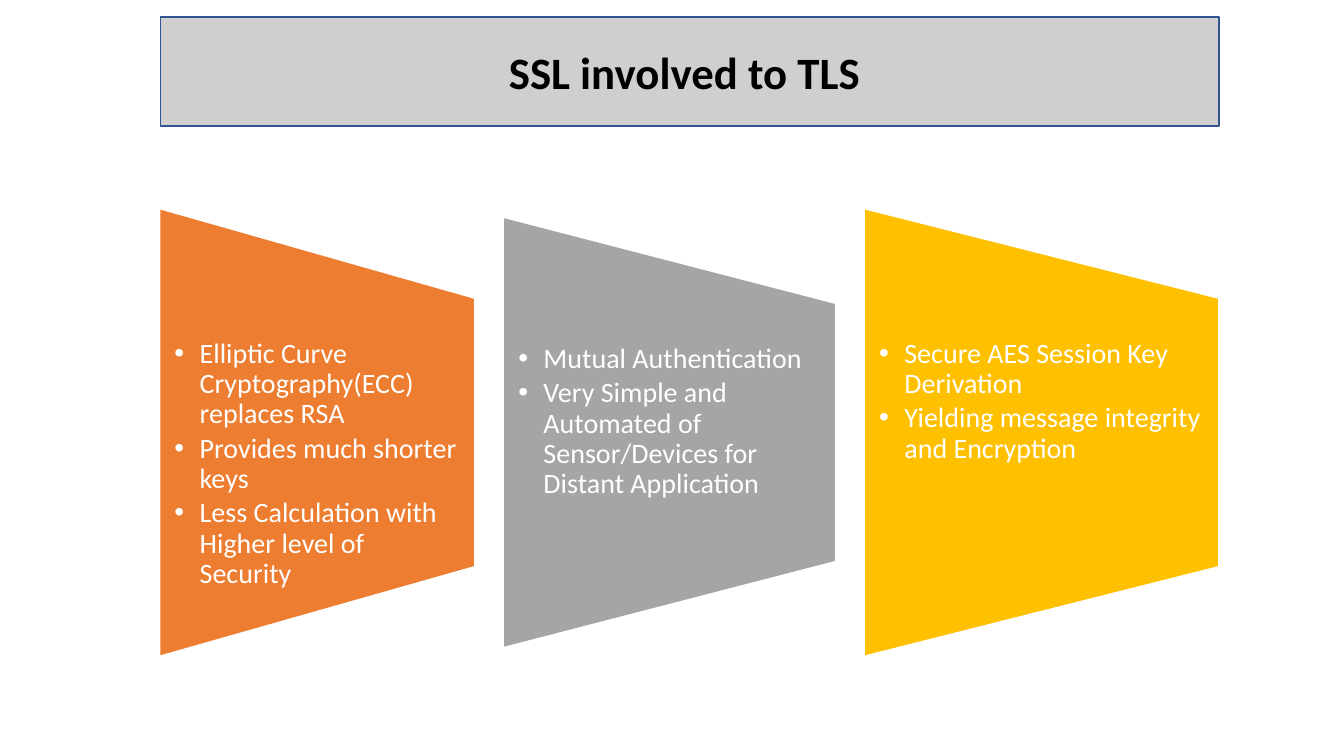
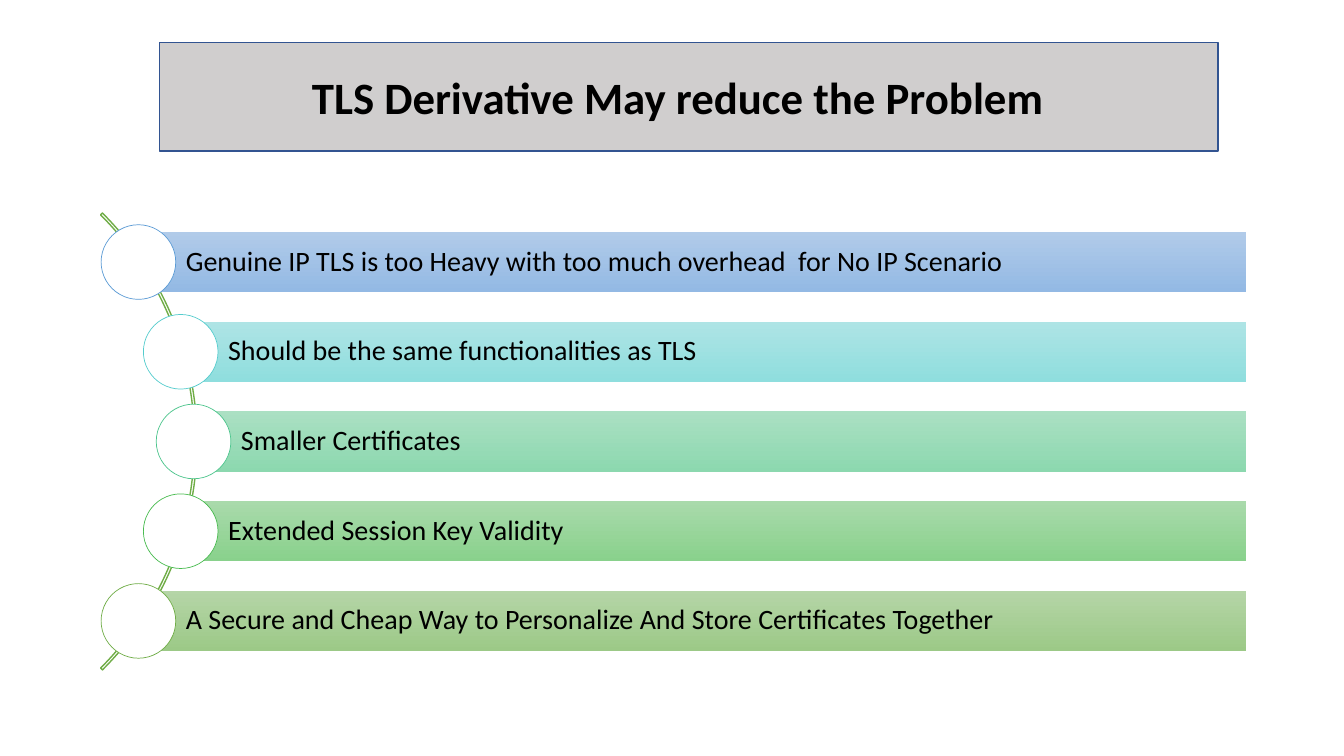
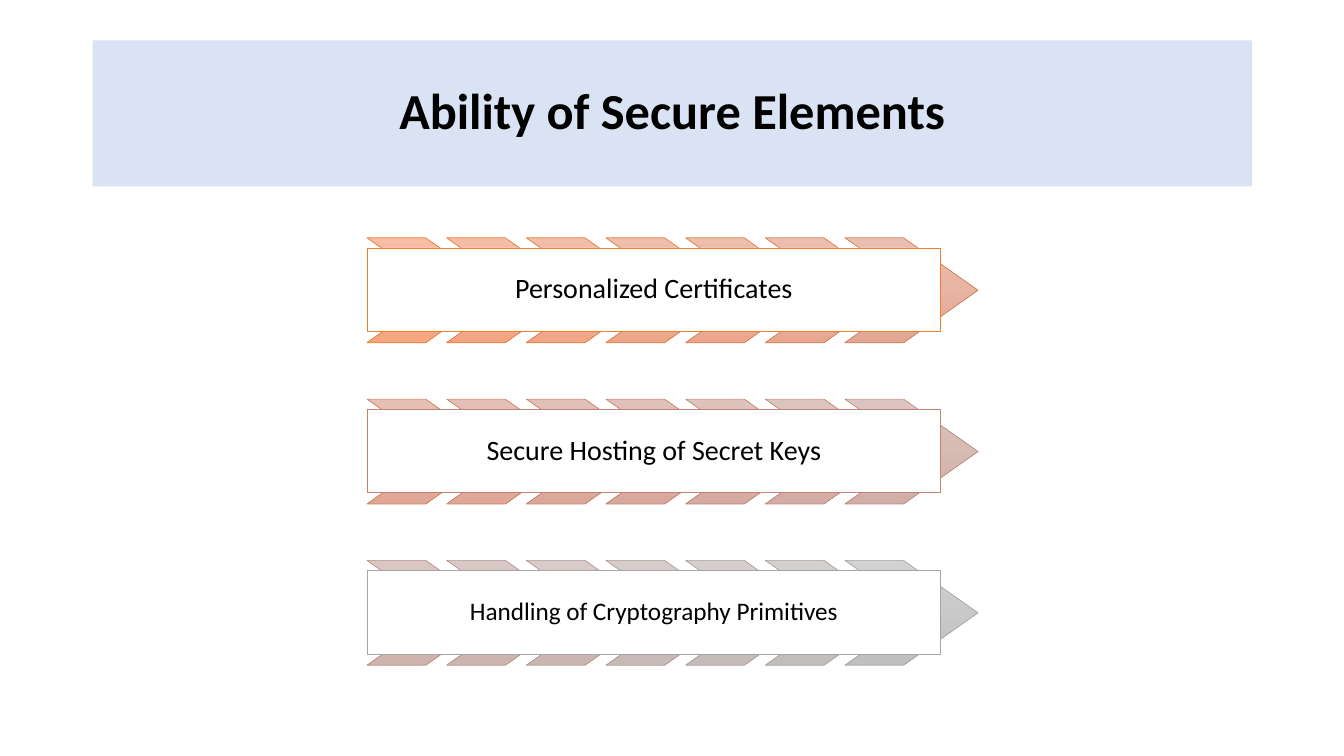
from math import sqrt
from pptx import Presentation, util as u
from pptx.dml.color import RGBColor
from pptx.enum import shapes, text
from pptx.oxml import parse_xml
from pptx.oxml.ns import nsdecls

FORM = shapes.MSO_SHAPE
ALIGN = text.PP_ALIGN
ANCHOR = text.MSO_ANCHOR


class Theme:
    font = "Calibri"
    black, white = "000000", "FFFFFF"
    band, edge, pale = "D0CECE", "325491", "DAE3F3"
    orange, gray, gold, green = "ED7D31", "A5A5A5", "FFC000", "70AD47"
    # top, bottom and outline of each row in the curved list
    rows = [("B1CBE9", "93B9E4", "5B9BD5"), ("AEE4E5", "8FDEDE", "54CCCD"),
            ("ABE0C3", "8CD8AF", "4DC58D"), ("A9DAAB", "89D18C", "48BB4F"),
            ("B5D5A7", "9CC987", green)]
    # first, middle and last colour of the chevron ramps
    tops = ("F7BDA5", "E0C0B9", "D2D2D2")
    ends = ("F8A582", "D7A89E", "C0C0C0")
    rims = (orange, "C48170", gray)
    big, head, body, small = 36, 32, 20, 18
    thin, line = 0.5, 1


def ramp(keys, t):
    """Blend three colours, t running from 0 to 1."""
    i = 0 if t < 0.5 else 1
    part = 2 * t - i
    pair = [RGBColor.from_string(k) for k in keys[i:i + 2]]
    return str(RGBColor(*(round(a + (b - a) * part) for a, b in zip(*pair))))


def write(shape, lines, size=Theme.body, color=Theme.black, bold=False,
          align=ALIGN.LEFT, anchor=ANCHOR.MIDDLE, pad=(0.1, 0.05, 0.1, 0.05),
          space=0.9, after=0, mark=None):
    frame = shape.text_frame
    frame.word_wrap = True
    frame.vertical_anchor = anchor
    (frame.margin_left, frame.margin_top,
     frame.margin_right, frame.margin_bottom) = [u.Inches(p) for p in pad]
    for i, words in enumerate(lines):
        para = frame.add_paragraph() if i else frame.paragraphs[0]
        para.alignment = align
        para.line_spacing = space
        para.space_after = u.Pt(after)
        run = para.add_run()
        run.text = words
        font = run.font
        font.name, font.size, font.bold = Theme.font, u.Pt(size), bold
        font.color.rgb = RGBColor.from_string(color)
        if mark:
            props = para._p.get_or_add_pPr()
            props.set("marL", str(u.Inches(0.25)))
            props.set("indent", str(u.Inches(-0.25)))
            props.append(parse_xml(f'<a:buFont {nsdecls("a")} typeface="Arial"/>'))
            props.append(parse_xml(f'<a:buChar {nsdecls("a")} char="{mark}"/>'))


class Deck:
    def __init__(self):
        self.show = Presentation()
        self.show.slide_width = u.Inches(13.33)
        self.show.slide_height = u.Inches(7.5)
        self.page = None

    def slide(self):
        self.page = self.show.slides.add_slide(self.show.slide_layouts[6])

    def shape(self, form, x, y, w, h, fill=None, line=None, width=Theme.thin):
        """Fill is None, one colour, or a (top, bottom) pair."""
        item = self.page.shapes.add_shape(form, *map(u.Inches, (x, y, w, h)))
        item.shadow.inherit = False
        if fill is None:
            item.fill.background()
        elif isinstance(fill, str):
            item.fill.solid()
            item.fill.fore_color.rgb = RGBColor.from_string(fill)
        else:
            item.fill.gradient()
            item.fill.gradient_angle = 270
            for stop, color in zip(item.fill.gradient_stops, fill):
                stop.color.rgb = RGBColor.from_string(color)
        if line:
            item.line.color.rgb = RGBColor.from_string(line)
            item.line.width = u.Pt(width)
        else:
            item.line.fill.background()
        return item

    def label(self, x, y, w, h, lines, **form):
        box = self.page.shapes.add_textbox(*map(u.Inches, (x, y, w, h)))
        write(box, lines, **form)

    def title(self, words, x, y, w=10.5, h=1.08, fill=Theme.band,
              line=Theme.edge, right=0.1, size=Theme.head, space=1):
        bar = self.shape(FORM.RECTANGLE, x, y, w, h, fill, line, Theme.line)
        write(bar, [words], size=size, bold=True, align=ALIGN.CENTER,
              pad=(0.1, 0.05, right, 0.05), space=space)

    def panel(self, x, mid, w, h, fill, lines):
        """Trapezoid turned on its side, with a bulleted list."""
        item = self.shape(FORM.FLOWCHART_MANUAL_OPERATION,
                          x + (w - h) / 2, mid - w / 2, h, w, fill)
        item.rotation = 270
        top = mid - 0.3 * h + 0.4
        self.label(x, top, w, 0.6 * h - 0.4, lines, color=Theme.white,
                   anchor=ANCHOR.TOP, pad=(0.14, 0, 0.14, 0), after=3, mark="•")

    def row(self, x, mid, right, words, colors):
        """Gradient bar that starts behind a circle centred on x."""
        top, end, rim = colors
        bar = self.shape(FORM.RECTANGLE, x, mid - 0.3, right - x, 0.6, (top, end))
        write(bar, [words], pad=(0.47, 0.06, 0.06, 0.06))
        self.shape(FORM.OVAL, x - 0.37, mid - 0.37, 0.74, 0.74, Theme.white, rim)

    def train(self, x, y, words, size, first, count, total):
        """Run of chevrons under a white label."""
        for i in range(count):
            t = (first + i) / (total - 1)
            item = self.shape(FORM.CHEVRON, x + 0.79 * i, y, 1.32, 1.04,
                              (ramp(Theme.tops, t), ramp(Theme.ends, t)),
                              ramp(Theme.rims, t))
            item.adjustments[0] = 0.71
        rim = ramp(Theme.rims, first / (total - count))
        box = self.shape(FORM.RECTANGLE, x, y + 0.1, 5.69, 0.83, Theme.white, rim)
        write(box, [words], size=size, align=ALIGN.CENTER, pad=(0.06,) * 4)


def panels(deck):
    deck.slide()
    deck.title("SSL involved to TLS", 1.59, 0.17, right=0.2)
    x = 1.59
    for w, h, fill, lines in [
        (3.11, 4.42, Theme.orange,
         ["Elliptic Curve Cryptography(ECC) replaces RSA",
          "Provides much shorter keys",
          "Less Calculation with Higher level of Security"]),
        (3.28, 4.25, Theme.gray,
         ["Mutual Authentication",
          "Very Simple and Automated of Sensor/Devices for Distant Application"]),
        (3.5, 4.42, Theme.gold,
         ["Secure AES Session Key Derivation",
          "Yielding message integrity and Encryption"]),
    ]:
        deck.panel(x, 4.29, w, h, fill, lines)
        x += w + 0.3


def curve(deck):
    deck.slide()
    deck.title("TLS Derivative May reduce the Problem", 1.58, 0.42, right=0.31)
    # Thin arc; the rows' circles sit on it
    size, hub, mid = 6.41, -1.25, 4.38
    arc = deck.shape(FORM.BLOCK_ARC, hub - size / 2, mid - size / 2, size, size,
                     line=Theme.green, width=Theme.line)
    for i, value in enumerate((189, 27, 0.004)):
        arc.adjustments[i] = value
    lines = ["Genuine IP TLS is too Heavy with too much overhead  for No IP Scenario",
             "Should be the same functionalities as TLS",
             "Smaller Certificates",
             "Extended Session Key Validity",
             "A Secure and Cheap Way to Personalize And Store Certificates Together"]
    for i, (words, colors) in enumerate(zip(lines, Theme.rows)):
        drop = 0.89 * (i - 2)
        deck.row(hub + sqrt(3.17 ** 2 - drop ** 2), mid + drop, 12.36, words, colors)


def trains(deck):
    deck.slide()
    deck.title("Ability of Secure Elements", 0.92, 0.4, 11.5, 1.45, Theme.pale,
               line=None, size=Theme.big, space=0.9)
    lines = [("Personalized Certificates", Theme.body),
             ("Secure Hosting of Secret Keys", Theme.body),
             ("Handling of Cryptography Primitives", Theme.small)]
    count = 7
    for i, (words, size) in enumerate(lines):
        deck.train(3.64, 2.36 + 1.6 * i, words, size,
                   count * i, count, count * len(lines))


def main():
    deck = Deck()
    panels(deck)
    curve(deck)
    trains(deck)
    deck.show.save("out.pptx")


if __name__ == "__main__":
    main()
